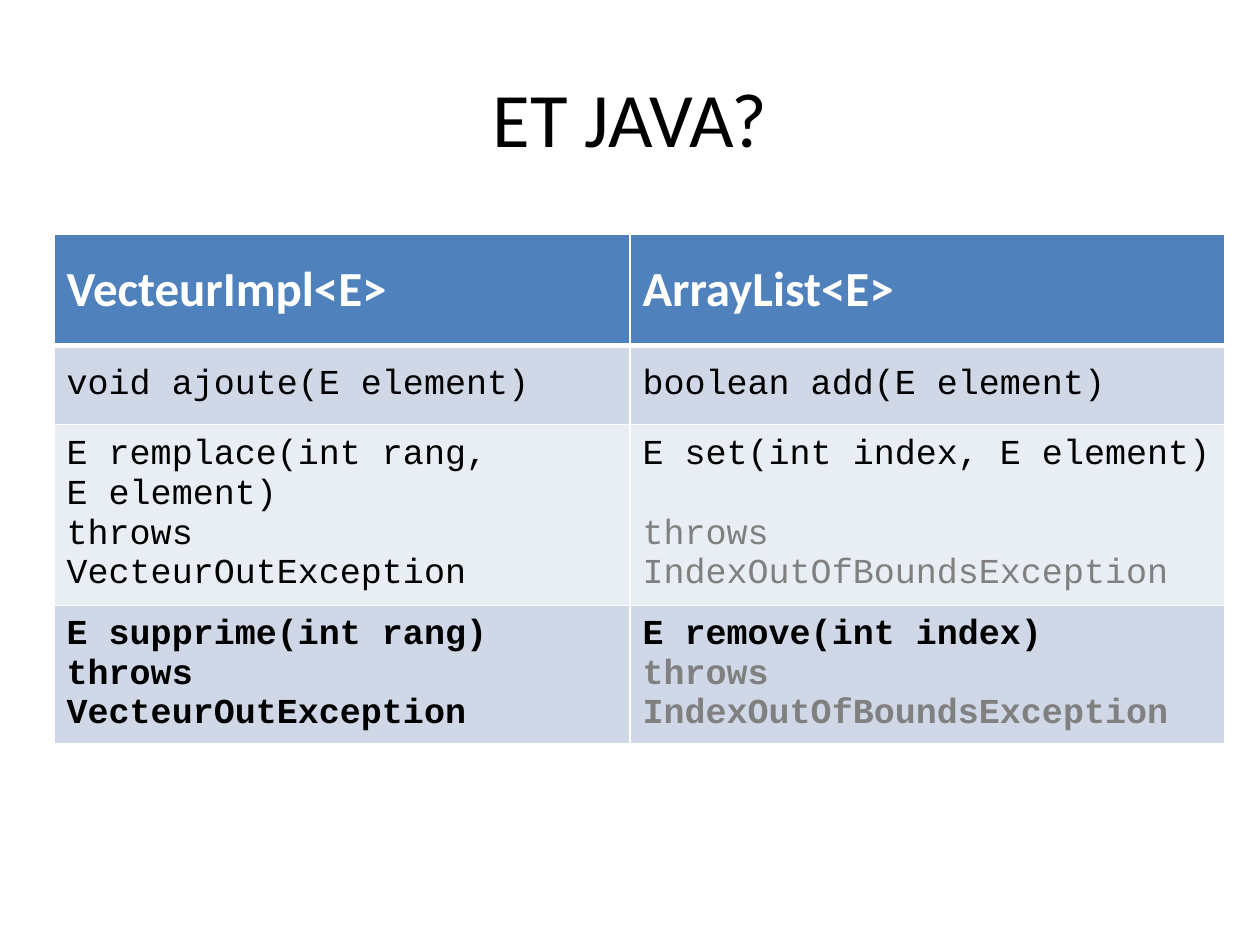
from dataclasses import dataclass
from typing import Any

from lxml import etree
from pptx import Presentation
from pptx import util as u
from pptx.dml import color
from pptx.enum import text
from pptx.oxml import ns

HEADER, BAND_DARK, BAND_LIGHT = "4F81BD", "D0D8E8", "E9EDF4"
BLACK, GREY, WHITE = "000000", "808080", "FFFFFF"
THROWS = "throws IndexOutOfBoundsException"
BLANK_LINE = 22.66


def rgb(value):
    return color.RGBColor.from_string(value)


def write(para, words, font="Courier New", size=20, colour=BLACK, bold=False,
          align=text.PP_ALIGN.LEFT, before=0):
    para.alignment = align
    para.space_before = u.Pt(before)
    span = para.add_run()
    span.text = words
    span.font.name = font
    span.font.size = u.Pt(size)
    span.font.bold = bold
    span.font.color.rgb = rgb(colour)


def add_border(cell, side, width, colour):
    line = etree.SubElement(cell._tc.get_or_add_tcPr(), ns.qn(f"a:{side}"), w=str(u.Pt(width)))
    fill = etree.SubElement(line, ns.qn("a:solidFill"))
    etree.SubElement(fill, ns.qn("a:srgbClr"), val=colour)


@dataclass
class SlideBuilder:
    """Draws text and tables on one slide in a shared style."""

    slide: Any
    heading_font: str = "Calibri"
    border: str = WHITE

    def title(self, words, left, top, width, height):
        box = self.slide.shapes.add_textbox(u.Cm(left), u.Cm(top), u.Cm(width), u.Cm(height))
        frame = box.text_frame
        frame.word_wrap = True
        frame.vertical_anchor = text.MSO_ANCHOR.MIDDLE
        write(frame.paragraphs[0], words, font=self.heading_font, size=44,
              align=text.PP_ALIGN.CENTER)

    def table(self, rows, left, top, widths, heights):
        table = self.slide.shapes.add_table(
            len(rows), len(widths), u.Cm(left), u.Cm(top),
            u.Cm(sum(widths)), u.Cm(sum(heights))).table
        for column, width in zip(table.columns, widths):
            column.width = u.Cm(width)
        for index, (row, height) in enumerate(zip(rows, heights)):
            table.rows[index].height = u.Cm(height)
            for column, lines in enumerate(row):
                self.cell(table.cell(index, column), index, lines)

    def cell(self, cell, row, lines):
        cell.vertical_anchor = text.MSO_ANCHOR.MIDDLE
        edges = {"lnL": 1, "lnR": 1, "lnT": 3 if row == 1 else 1, "lnB": 3 if row == 0 else 1}
        for side, width in edges.items():
            add_border(cell, side, width, self.border)
        cell.fill.solid()
        band = BAND_DARK if row % 2 else BAND_LIGHT
        cell.fill.fore_color.rgb = rgb(band if row else HEADER)
        frame = cell.text_frame
        for index, (words, style) in enumerate(lines):
            para = frame.add_paragraph() if index else frame.paragraphs[0]
            write(para, words, **style)


def plain(*lines, **style):
    return [(words, style) for words in lines]


def main():
    deck = Presentation()
    deck.slide_width, deck.slide_height = u.Cm(25.4), u.Cm(19.05)
    page = SlideBuilder(deck.slides.add_slide(deck.slide_layouts[6]))
    page.title("ET JAVA?", 1.27, 0.76, 22.86, 3.18)

    heading = dict(font=page.heading_font, size=28, colour=WHITE, bold=True)
    rows = [
        [plain("VecteurImpl<E>", **heading), plain("ArrayList<E>", **heading)],
        [plain("void ajoute(E element)"), plain("boolean add(E element)")],
        [plain("E remplace(int rang,", "E element)", "throws", "VecteurOutException"),
         plain("E set(int index, E element)")
         + plain(THROWS, colour=GREY, before=BLANK_LINE)],
        [plain("E supprime(int rang)", "throws", "VecteurOutException", bold=True),
         plain("E remove(int index)", bold=True) + plain(THROWS, colour=GREY, bold=True)],
    ]
    page.table(rows, 1.09, 4.72, widths=[11.61, 11.99], heights=[2.24, 1.6, 3.46, 2.64])
    deck.save("out.pptx")


if __name__ == "__main__":
    main()
